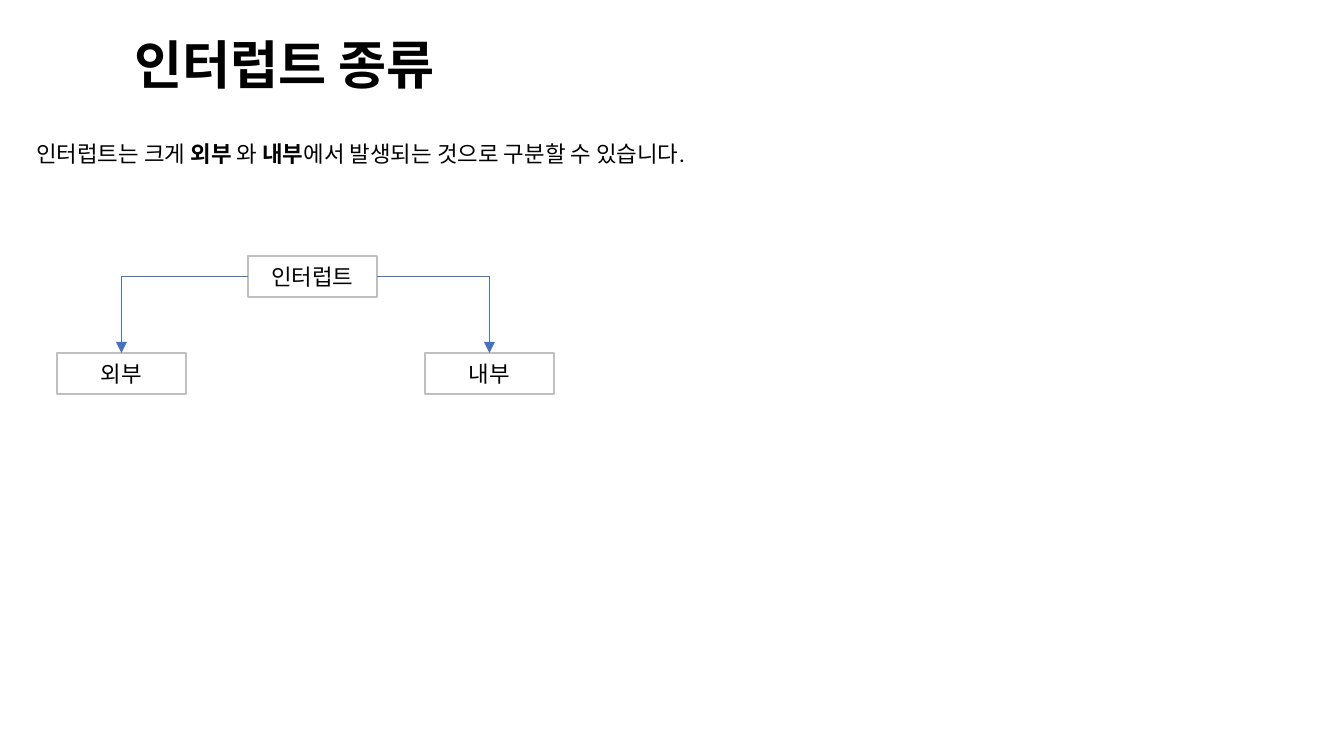
from dataclasses import dataclass

from lxml.etree import SubElement
from pptx import Presentation
from pptx.dml.color import RGBColor as RGB
from pptx.enum.shapes import MSO_CONNECTOR as Conn, MSO_SHAPE as Shape
from pptx.enum.text import MSO_ANCHOR as Anchor, PP_ALIGN as Align
from pptx.oxml.ns import qn
from pptx.util import Emu, Pt


@dataclass(frozen=True)
class Theme:
    font: str = "Calibri"
    title: int = 28
    body: int = 12
    text: RGB = RGB(0, 0, 0)
    border: RGB = RGB(0xBF, 0xBF, 0xBF)
    arrow: RGB = RGB(0x44, 0x72, 0xC4)


THEME = Theme()
TOP, LEFT, RIGHT = 0, 1, 3


def px(n):
    return Emu(round(n * 914400 / 134.4))


def style(p, size):
    p.font.name = THEME.font
    p.font.size = Pt(size)
    p.font.color.rgb = THEME.text


def add_text(s, box, runs, size):
    tf = s.shapes.add_textbox(*map(px, box)).text_frame
    tf.word_wrap = True
    p = tf.paragraphs[0]
    style(p, size)
    for text, bold in runs:
        r = p.add_run()
        r.text = text
        r.font.bold = bold


def add_node(s, box, label):
    sp = s.shapes.add_shape(Shape.RECTANGLE, *map(px, box))
    sp.shadow.inherit = False
    sp.fill.background()
    sp.line.color.rgb = THEME.border
    sp.line.width = Pt(0.75)
    tf = sp.text_frame
    tf.word_wrap = True
    tf.vertical_anchor = Anchor.MIDDLE
    p = tf.paragraphs[0]
    p.text = label
    p.alignment = Align.CENTER
    style(p, THEME.body)
    return sp


def add_elbow(s, parent, side, child):
    c = s.shapes.add_connector(Conn.ELBOW, 0, 0, 0, 0)
    c.begin_connect(parent, side)
    c.end_connect(child, TOP)
    c.line.color.rgb = THEME.arrow
    c.line.width = Pt(0.5)
    sp_pr = c._element.spPr
    sp_pr.find(qn("a:prstGeom")).set("prst", "bentConnector2")
    SubElement(sp_pr.find(qn("a:ln")), qn("a:tailEnd"), type="triangle")
    SubElement(sp_pr, qn("a:effectLst"))


def add_tree(s, box):
    x, y, w, h = box
    node_w, node_h = 129, 41
    child_y = y + h - node_h
    root = add_node(s, (x + 191, y, node_w, node_h), "인터럽트")
    outer = add_node(s, (x, child_y, node_w, node_h), "외부")
    inner = add_node(s, (x + w - node_w, child_y, node_w, node_h), "내부")
    add_elbow(s, root, LEFT, outer)
    add_elbow(s, root, RIGHT, inner)


def main():
    prs = Presentation()
    prs.slide_width, prs.slide_height = px(1344), px(756)
    s = prs.slides.add_slide(prs.slide_layouts[6])
    add_text(s, (121, 26, 719, 77), [("인터럽트 종류", True)], THEME.title)
    add_text(s, (23, 134, 1071, 41), [
        ("인터럽트는 크게 ", False),
        ("외부", True),
        (" 와 ", False),
        ("내부", True),
        ("에서 발생되는 것으로 구분할 수 있습니다.", False),
    ], THEME.body)
    add_tree(s, (57, 256, 497, 138))
    prs.save("out.pptx")


if __name__ == "__main__":
    main()
